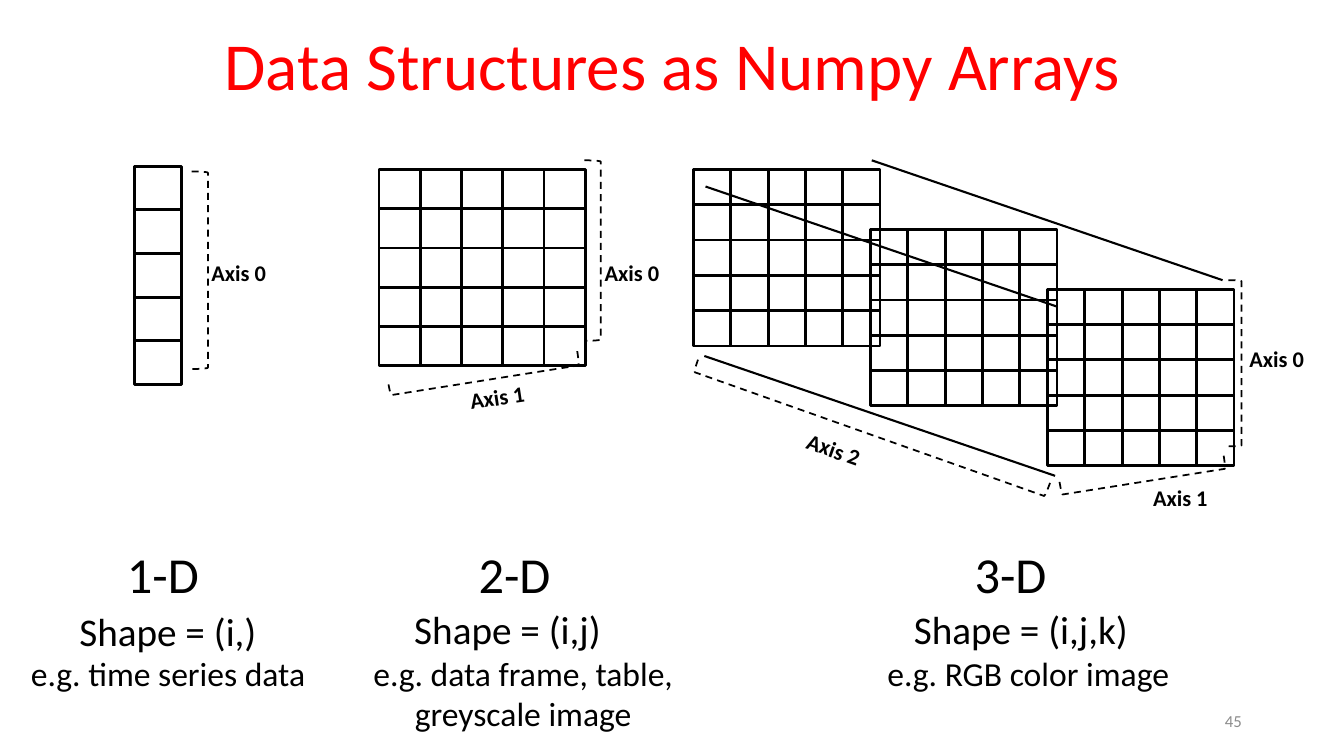
import dataclasses
import itertools

import pptx
import pptx.dml.color
import pptx.enum.dml
import pptx.enum.shapes
import pptx.enum.text
import pptx.oxml.ns
import pptx.util
from lxml import etree

Cm = pptx.util.Cm
Pt = pptx.util.Pt
RGB = pptx.dml.color.RGBColor
ALIGN = pptx.enum.text.PP_ALIGN
ANCHOR = pptx.enum.text.MSO_ANCHOR
SHAPE = pptx.enum.shapes.MSO_SHAPE


@dataclasses.dataclass(frozen=True)
class Theme:
    font: str = "Calibri"
    ink: str = "000000"
    title_color: str = "FF0000"
    page_color: str = "8C8C8C"
    title: float = 48
    dimension: float = 36
    shape: float = 28
    example: float = 24
    axis: float = 16
    page: float = 12
    cell_line: float = 2
    depth_line: float = 1.5
    bracket_line: float = 1.25


def write_text(frame, text, *, font, size, color, bold=False,
               align=ALIGN.LEFT, anchor=ANCHOR.TOP, spacing=None):
    frame.word_wrap = True
    frame.vertical_anchor = anchor
    paragraph = frame.paragraphs[0]
    paragraph.text = text
    paragraph.alignment = align
    paragraph.line_spacing = spacing
    paragraph.font.name = font
    paragraph.font.size = Pt(size)
    paragraph.font.bold = bold
    paragraph.font.color.rgb = RGB.from_string(color)


class ArraySlide:
    def __init__(self, slide, theme):
        self.slide = slide
        self.theme = theme

    def ink(self, line, width):
        line.color.rgb = RGB.from_string(self.theme.ink)
        line.width = Pt(width)

    def outline(self, shapes, kind, box, width):
        shape = shapes.add_shape(kind, *map(Cm, box))
        shape.shadow.inherit = False
        shape.fill.background()
        self.ink(shape.line, width)
        return shape

    def grid(self, left, top, width, height, columns, rows=5):
        cells = self.slide.shapes.add_group_shape().shapes
        for row, column in itertools.product(range(rows), range(columns)):
            box = (left + column * width, top + row * height, width, height)
            self.outline(cells, SHAPE.RECTANGLE, box, self.theme.cell_line)

    def bracket(self, box, rotation=0):
        bracket = self.outline(self.slide.shapes, SHAPE.RIGHT_BRACKET, box,
                               self.theme.bracket_line)
        bracket.line.dash_style = pptx.enum.dml.MSO_LINE.DASH
        bracket.rotation = rotation

    def depth_edge(self, left, top, run=8.84, drop=3.02):
        edge = self.slide.shapes.add_connector(
            pptx.enum.shapes.MSO_CONNECTOR.STRAIGHT,
            Cm(left), Cm(top), Cm(left + run), Cm(top + drop))
        self.ink(edge.line, self.theme.depth_line)
        properties = edge.element.find(pptx.oxml.ns.qn("p:spPr"))
        etree.SubElement(properties, pptx.oxml.ns.qn("a:effectLst"))

    def label(self, text, box, size, rotation=0, **style):
        label = self.slide.shapes.add_textbox(*map(Cm, box))
        label.rotation = rotation
        style.setdefault("color", self.theme.ink)
        write_text(label.text_frame, text, font=self.theme.font, size=size, **style)

    def axis(self, number, left, top, width=2.46, rotation=0):
        self.label(f"Axis {number} ", (left, top, width, 0.94), self.theme.axis,
                   rotation, bold=True, align=ALIGN.CENTER)


def draw_arrays(page):
    for layer in (2, 1, 0):
        page.grid(17.48 + layer * 4.46, 4.27 + layer * 1.51, 0.94, 0.89, columns=5)
    page.grid(9.55, 4.27, 1.04, 0.99, columns=5)
    page.grid(3.4, 4.19, 1.17, 1.1, columns=1)

    for left, top in ((21.97, 4.04), (17.75, 8.97), (17.78, 4.7)):
        page.depth_edge(left, top)


def draw_axes(page):
    page.bracket((4.83, 4.32, 0.41, 4.98))
    page.bracket((14.73, 4.04, 0.41, 4.55))
    page.bracket((12.01, 6.99, 0.36, 4.83), 81)
    page.bracket((30.96, 7.06, 0.33, 4.19))
    page.bracket((28.63, 9.88, 0.33, 4.19), 81)
    page.bracket((21.79, 6.07, 0.36, 9.4), 109.5)

    page.axis(0, 4.85, 6.4)
    page.axis(0, 14.76, 6.4)
    page.axis(1, 10.01, 9.53, 5.16, 351.4)
    page.axis(0, 31.01, 8.56)
    page.axis(1, 28.58, 12.07)
    page.axis(2, 18.49, 10.87, 5.16, 19.6)


def write_captions(page):
    theme = page.theme
    for dimension, left in (("1-D", 2.95), ("2-D", 11.81), ("3-D", 24.31)):
        page.label(dimension, (left, 13.56, 2.54, 1.8), theme.dimension)

    for shape, left, top in (("(i,)", 1.75, 15.19), ("(i,j)", 10.19, 15.14),
                             ("(i,j,k)", 22.78, 15.14)):
        page.label(f"Shape = {shape}", (left, top, 6.32, 1.45), theme.shape)

    for example, left, width, align in (
            ("time series data", 0.53, 8.05, ALIGN.LEFT),
            ("data frame, table, greyscale image", 9.02, 8.33, ALIGN.CENTER),
            ("RGB color image", 21.89, 8.05, ALIGN.CENTER)):
        page.label(f"e.g. {example}", (left, 16.33, width, 1.27),
                   theme.example, align=align)


def main():
    presentation = pptx.Presentation()
    presentation.slide_width = Cm(33.87)
    presentation.slide_height = Cm(19.05)
    theme = Theme()
    page = ArraySlide(presentation.slides.add_slide(presentation.slide_layouts[6]), theme)

    page.label("45", (23.93, 17.65, 7.62, 1.02), theme.page, color=theme.page_color,
               align=ALIGN.RIGHT, anchor=ANCHOR.MIDDLE)
    draw_arrays(page)
    draw_axes(page)
    write_captions(page)
    page.label("Data Structures as Numpy Arrays", (2.34, 0, 29.21, 2.77), theme.title,
               color=theme.title_color, align=ALIGN.CENTER, anchor=ANCHOR.BOTTOM,
               spacing=0.9)
    presentation.save("out.pptx")


if __name__ == "__main__":
    main()
